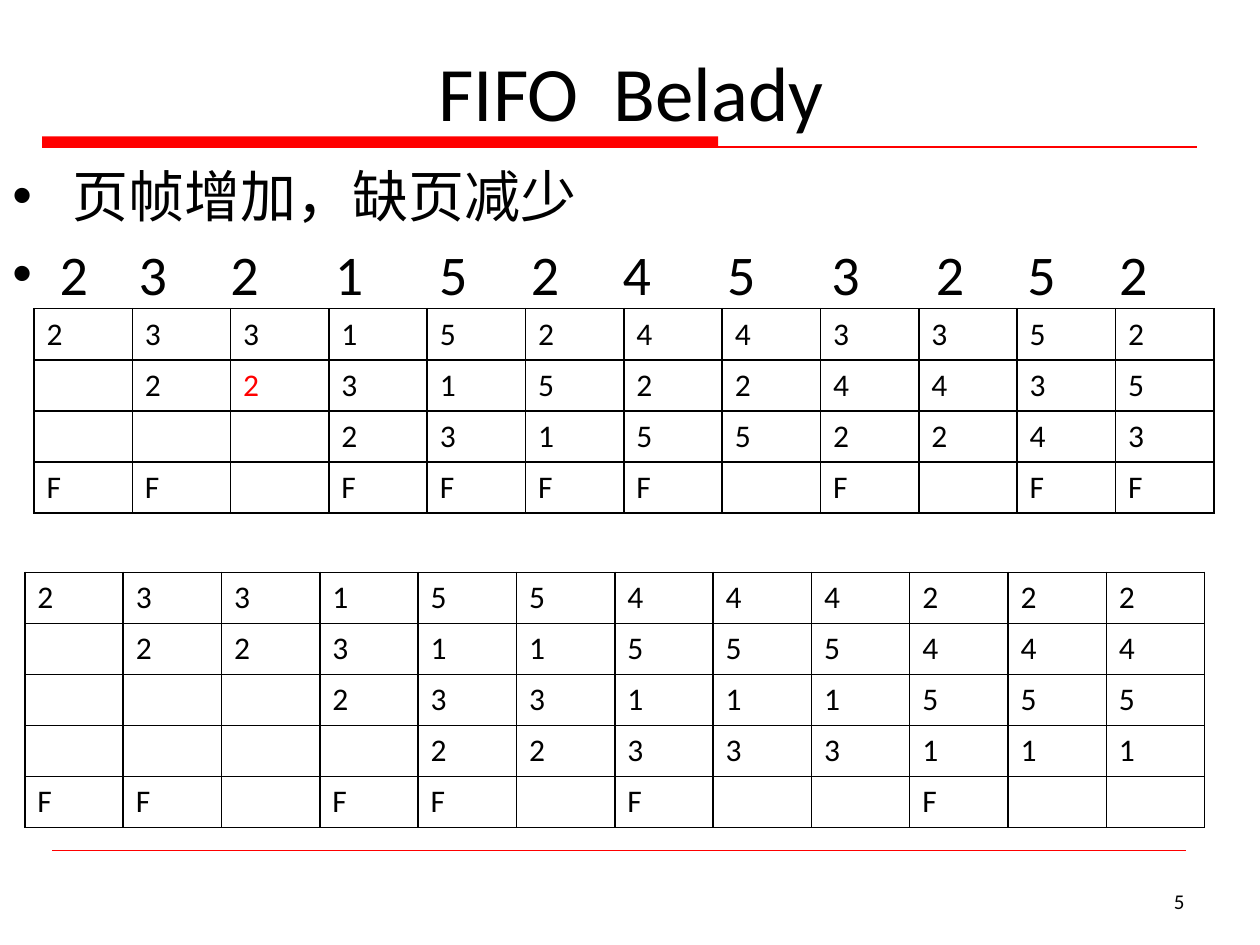
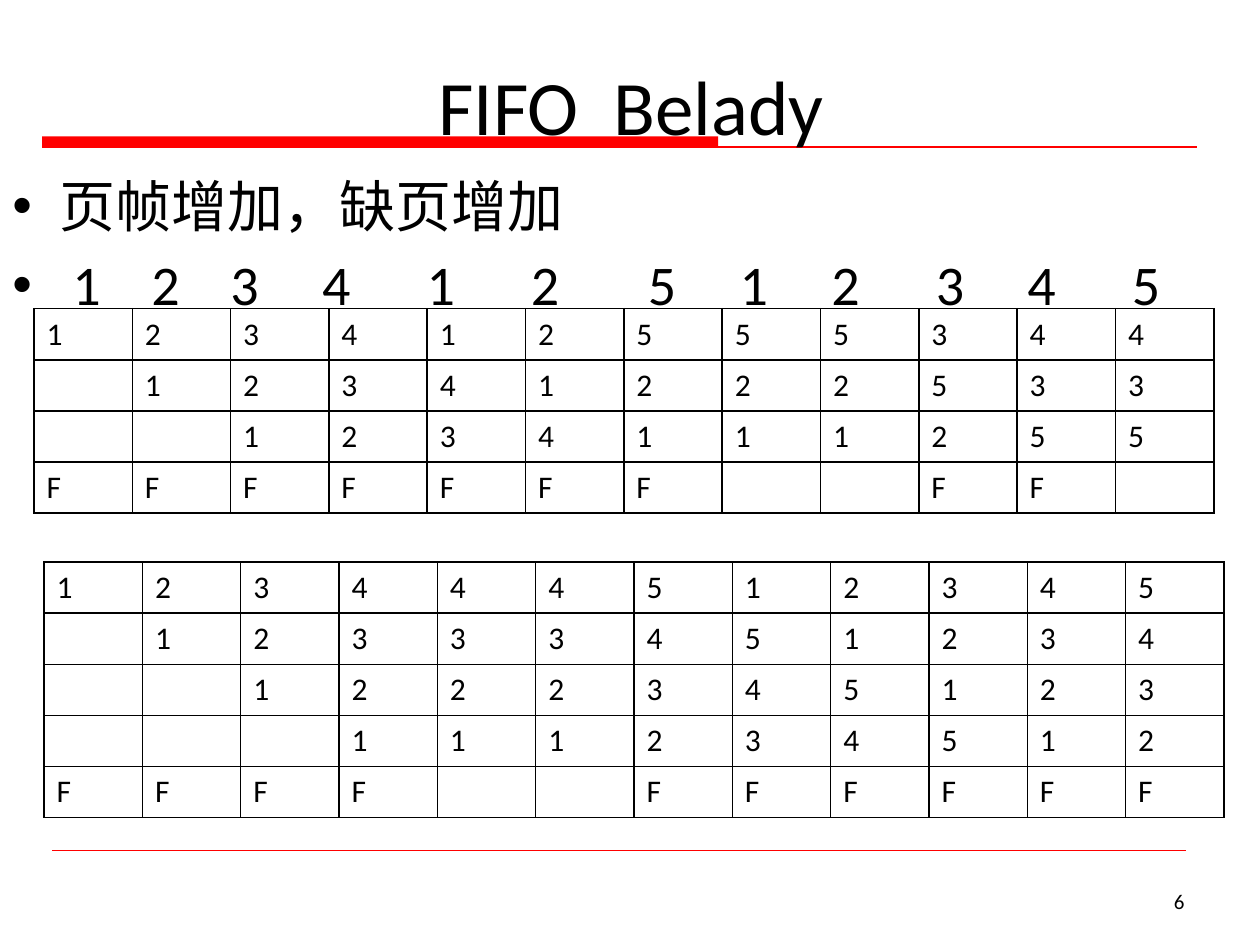
import pptx
import pptx.dml.color
import pptx.enum.shapes
import pptx.enum.text
import pptx.oxml
import pptx.oxml.ns
import pptx.util
from lxml import etree

Pt = pptx.util.Pt
RGBColor = pptx.dml.color.RGBColor
PP_ALIGN = pptx.enum.text.PP_ALIGN
MIDDLE = pptx.enum.text.MSO_ANCHOR.MIDDLE
qn = pptx.oxml.ns.qn

BLACK = RGBColor(0, 0, 0)
RED = RGBColor(255, 0, 0)
FONT = "Calibri"
TITLE = "FIFO  Belady"
BULLET_INDENT = 27
SPACE_WIDTH = 7.23  # one space of the 32 pt bullet text
COLUMN_WIDTH = 56.2
ROW_HEIGHT = 29.2
BLANK = "."

# Tables hold one character per cell: the frames from newest to oldest, then the faults (F).
# Gaps are the distances between references, in space widths.
SLIDES = [
    {
        "number": 5, "title_height": 73.4, "body_top": 88.6,
        "claim": " 页帧增加，缺页减少",
        "lead": "", "references": "232152453252", "gaps": [4, 5, 6, 6, 5, 5, 6, 6, 6, 5, 5],
        "three_frames": ["233152443352", ".22315224435", "...231552243", "FF.FFFF.F.FF"],
        "four_frames": ["233155444222", ".22311555444", "...233111555",
                        "....22333111", "FF.FF.F..F.."],
        "four_frames_at": (14.2, 327),
        "hit": (1, 2),
    },
    {
        "number": 6, "title_height": 90, "body_top": 94.5,
        "claim": "页帧增加，缺页增加",
        "lead": " ", "references": "123412512345", "gaps": [4, 4, 5, 6, 6, 7, 5, 5, 6, 5, 6],
        "three_frames": ["123412555344", ".12341222533", "..1234111255", "FFFFFFF..FF."],
        "four_frames": ["123444512345", ".12333451234", "..1222345123",
                        "...111234512", "FFFF..FFFFFF"],
        "four_frames_at": (25.2, 321.2),
        "hit": None,
    },
]


def style_runs(para, size, color=BLACK):
    for span in para.runs:
        span.font.name = FONT
        span.font.size = Pt(size)
        span.font.color.rgb = color


def add_rule(page, left, right, y, width):
    rule = page.shapes.add_connector(
        pptx.enum.shapes.MSO_CONNECTOR.STRAIGHT, Pt(left), Pt(y), Pt(right), Pt(y))
    rule.line.color.rgb = RED
    rule.line.width = Pt(width)
    etree.SubElement(rule.element.spPr, qn("a:effectLst"))
    return rule


def add_bar(page):
    bar = page.shapes.add_shape(
        pptx.enum.shapes.MSO_SHAPE.RECTANGLE, Pt(24), Pt(78), Pt(386.4), Pt(6))
    bar.shadow.inherit = False
    bar.fill.solid()
    bar.fill.fore_color.rgb = RED
    bar.line.fill.background()
    return bar


def move_to_layout(layout, shapes):
    """Let every slide of the layout show these shapes behind its own."""
    for shape in shapes:
        layout.shapes.element.append(shape.element)


def set_title(page, height):
    title = page.shapes.title
    title.left, title.top, title.width, title.height = Pt(36.7), Pt(15.1), Pt(648), Pt(height)
    frame = title.text_frame
    frame.text = TITLE
    frame.vertical_anchor = MIDDLE
    frame.paragraphs[0].alignment = PP_ALIGN.CENTER
    style_runs(frame.paragraphs[0], 44)


def set_bullet(para):
    para.space_before = Pt(6.4)
    props = para._p.get_or_add_pPr()
    props.set("marL", str(Pt(BULLET_INDENT)))
    props.set("indent", str(-Pt(BULLET_INDENT)))
    etree.SubElement(props, qn("a:buFont")).set("typeface", "Arial")
    etree.SubElement(props, qn("a:buChar")).set("char", "•")


def add_spaced_references(para, lead, references, gaps):
    """Write the references with one space between each pair, widened by character spacing."""
    para.add_run().text = lead + references[0]
    for reference, gap in zip(references[1:], gaps):
        space = para.add_run()
        space.text = " "
        space.font._element.set("spc", str(round((gap - 1) * SPACE_WIDTH * 100)))
        para.add_run().text = reference


def add_body(page, slide):
    box = page.shapes.add_textbox(Pt(0), Pt(slide["body_top"]), Pt(694.8), Pt(130))
    frame = box.text_frame
    frame.word_wrap = True
    frame.text = slide["claim"]
    add_spaced_references(frame.add_paragraph(), slide["lead"],
                          slide["references"], slide["gaps"])
    for para in frame.paragraphs:
        set_bullet(para)
        style_runs(para, 32)


def add_page_number(page, number):
    box = page.shapes.add_textbox(Pt(516), Pt(500.4), Pt(168), Pt(28.8))
    frame = box.text_frame
    frame.word_wrap = True
    frame.vertical_anchor = MIDDLE
    frame.text = str(number)
    frame.paragraphs[0].alignment = PP_ALIGN.RIGHT
    style_runs(frame.paragraphs[0], 12)


def set_borders(cell):
    props = cell._tc.get_or_add_tcPr()
    for index, side in enumerate(("lnL", "lnR", "lnT", "lnB")):
        border = etree.Element(qn("a:" + side), w=str(Pt(1)))
        fill = etree.SubElement(border, qn("a:solidFill"))
        etree.SubElement(fill, qn("a:srgbClr")).set("val", str(BLACK))
        props.insert(index, border)


def add_frame_table(page, left, top, rows, hit=None):
    """Draw the page frames over time; hit is the (row, column) shown in red."""
    columns = len(rows[0])
    table = page.shapes.add_table(
        len(rows), columns, Pt(left), Pt(top),
        Pt(columns * COLUMN_WIDTH), Pt(len(rows) * ROW_HEIGHT)).table
    table.first_row = False
    table.horz_banding = False
    for column in table.columns:
        column.width = Pt(COLUMN_WIDTH)
    for row_index, row in enumerate(rows):
        table.rows[row_index].height = Pt(ROW_HEIGHT)
        for column_index, value in enumerate(row):
            cell = table.cell(row_index, column_index)
            cell.fill.background()
            set_borders(cell)
            if value != BLANK:
                cell.text_frame.text = value
                color = RED if (row_index, column_index) == hit else BLACK
                style_runs(cell.text_frame.paragraphs[0], 18, color)


def main():
    deck = pptx.Presentation()
    deck.slide_width, deck.slide_height = Pt(720), Pt(540)
    layout = deck.slide_layouts.get_by_name("Title Only")
    for slide in SLIDES:
        page = deck.slides.add_slide(layout)
        if slide is SLIDES[0]:
            move_to_layout(layout, [add_bar(page),
                                    add_rule(page, 24, 684, 84, 0.75),
                                    add_rule(page, 30, 678, 486, 0.25)])
        set_title(page, slide["title_height"])
        add_body(page, slide)
        add_page_number(page, slide["number"])
        add_frame_table(page, 19.4, 176.4, slide["three_frames"], slide["hit"])
        add_frame_table(page, *slide["four_frames_at"], slide["four_frames"])
    deck.save("out.pptx")


if __name__ == "__main__":
    main()
